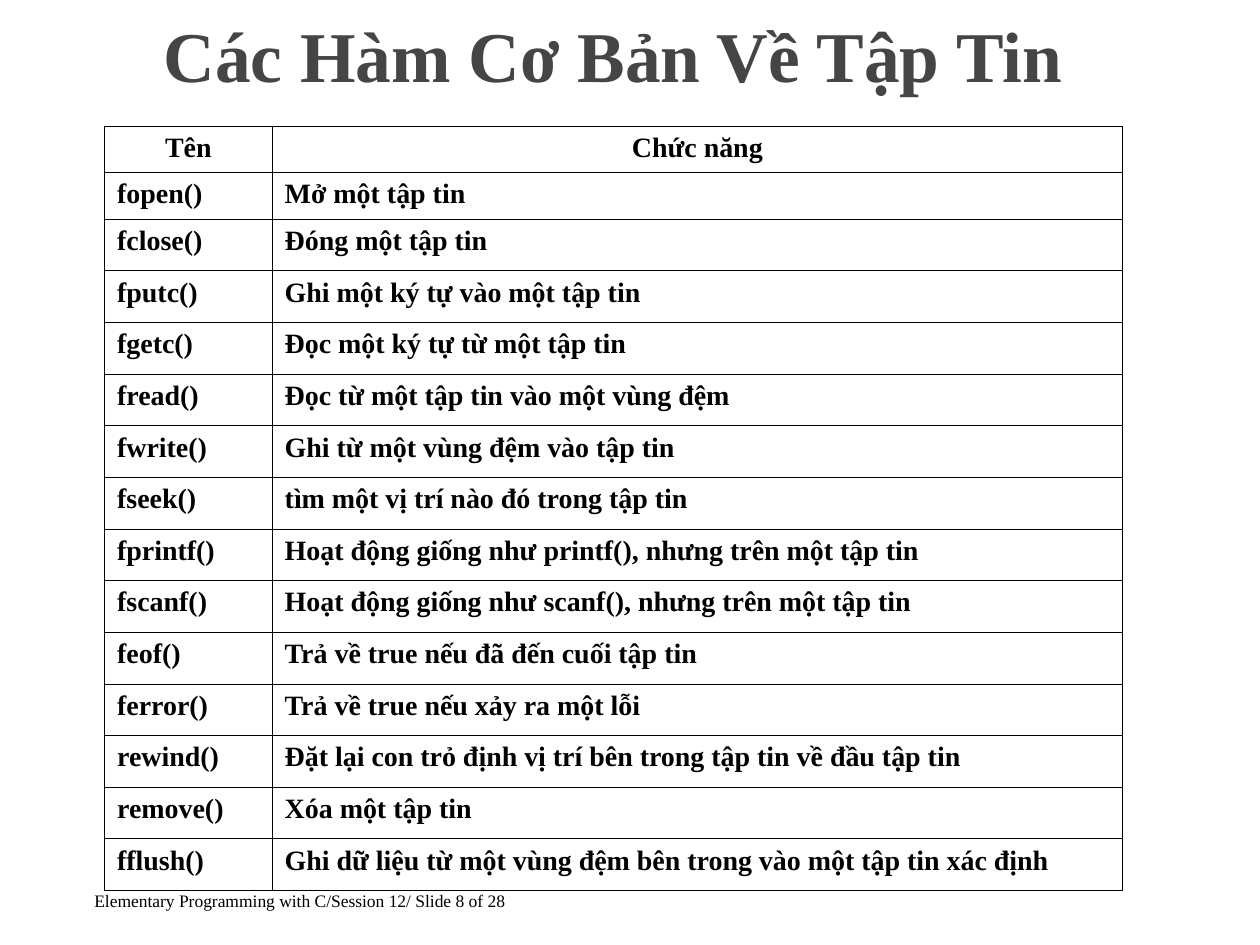
from pptx import Presentation
from pptx import util as u
from pptx.dml.color import RGBColor
from pptx.enum import text as t
from pptx.oxml import parse_xml
from pptx.oxml.ns import nsdecls

FONT = "Times New Roman"
TITLE = "Các Hàm Cơ Bản Về Tập Tin"
FOOTER = "Elementary Programming with C/Session 12/ Slide 8 of 28"
HEAD = ("Tên", "Chức năng")
ROWS = [
    ("fopen()", "Mở một tập tin"),
    ("fclose()", "Đóng một tập tin"),
    ("fputc()", "Ghi một ký tự vào một tập tin"),
    ("fgetc()", "Đọc một ký tự từ một tập tin"),
    ("fread()", "Đọc từ một tập tin vào một vùng đệm"),
    ("fwrite()", "Ghi từ một vùng đệm vào tập tin"),
    ("fseek()", "tìm một vị trí nào đó trong tập tin"),
    ("fprintf()", "Hoạt động giống như printf(), nhưng trên một tập tin"),
    ("fscanf()", "Hoạt động giống như scanf(), nhưng trên một tập tin"),
    ("feof()", "Trả về true nếu đã đến cuối tập tin"),
    ("ferror()", "Trả về true nếu xảy ra một lỗi"),
    ("rewind()", "Đặt lại con trỏ định vị trí bên trong tập tin về đầu tập tin"),
    ("remove()", "Xóa một tập tin"),
    ("fflush()", "Ghi dữ liệu từ một vùng đệm bên trong vào một tập tin xác định"),
]
WIDTHS = (1.33, 6.75)
HEIGHTS = [0.37] * 2 + [0.41] * (len(ROWS) - 1)


def paint(item, color):
    item.fill.solid()
    item.fill.fore_color.rgb = RGBColor.from_string(color)


def write(frame, words, size, color="000000", bold=False):
    frame.text = words
    para = frame.paragraphs[0]
    font = para.runs[0].font
    font.name, font.size, font.bold = FONT, u.Pt(size), bold
    paint(font, color)
    return para


def label(slide, box, anchor, *style):
    frame = slide.shapes.add_textbox(*map(u.Inches, box)).text_frame
    frame.word_wrap = True
    frame.vertical_anchor = anchor
    return write(frame, *style)


def border(cell, color="000000", width=0.45):
    props = cell._tc.get_or_add_tcPr()
    for side in "LRTB":
        props.append(parse_xml(
            f'<a:ln{side} {nsdecls("a")} w="{u.Pt(width)}"><a:solidFill>'
            f'<a:srgbClr val="{color}"/></a:solidFill></a:ln{side}>'))


def grid(slide, left, top):
    data = [HEAD] + ROWS
    box = map(u.Inches, (left, top, sum(WIDTHS), sum(HEIGHTS)))
    table = slide.shapes.add_table(len(data), len(HEAD), *box).table
    table.horz_banding = False
    for col, width in zip(table.columns, WIDTHS):
        col.width = u.Inches(width)
    for i, (row, height, words) in enumerate(zip(table.rows, HEIGHTS, data)):
        row.height = u.Inches(height)
        for cell, word in zip(row.cells, words):
            border(cell)
            paint(cell, "FFFFFF")
            para = write(cell.text_frame, word, 16, "000000", True)
            para.alignment = t.PP_ALIGN.JUSTIFY if i else t.PP_ALIGN.CENTER


def main():
    deck = Presentation()
    deck.slide_width, deck.slide_height = u.Inches(10), u.Inches(7.5)
    slide = deck.slides.add_slide(deck.slide_layouts[6])
    label(slide, (0.65, 6.95, 6.21, 0.4), t.MSO_ANCHOR.MIDDLE, FOOTER, 10)
    title = label(slide, (1.2, 0, 8.8, 0.83), t.MSO_ANCHOR.BOTTOM,
                  TITLE, 40.8, "454545", True)
    title.line_spacing = 0.9
    grid(slide, 0.83, 1)
    deck.save("out.pptx")


if __name__ == "__main__":
    main()
